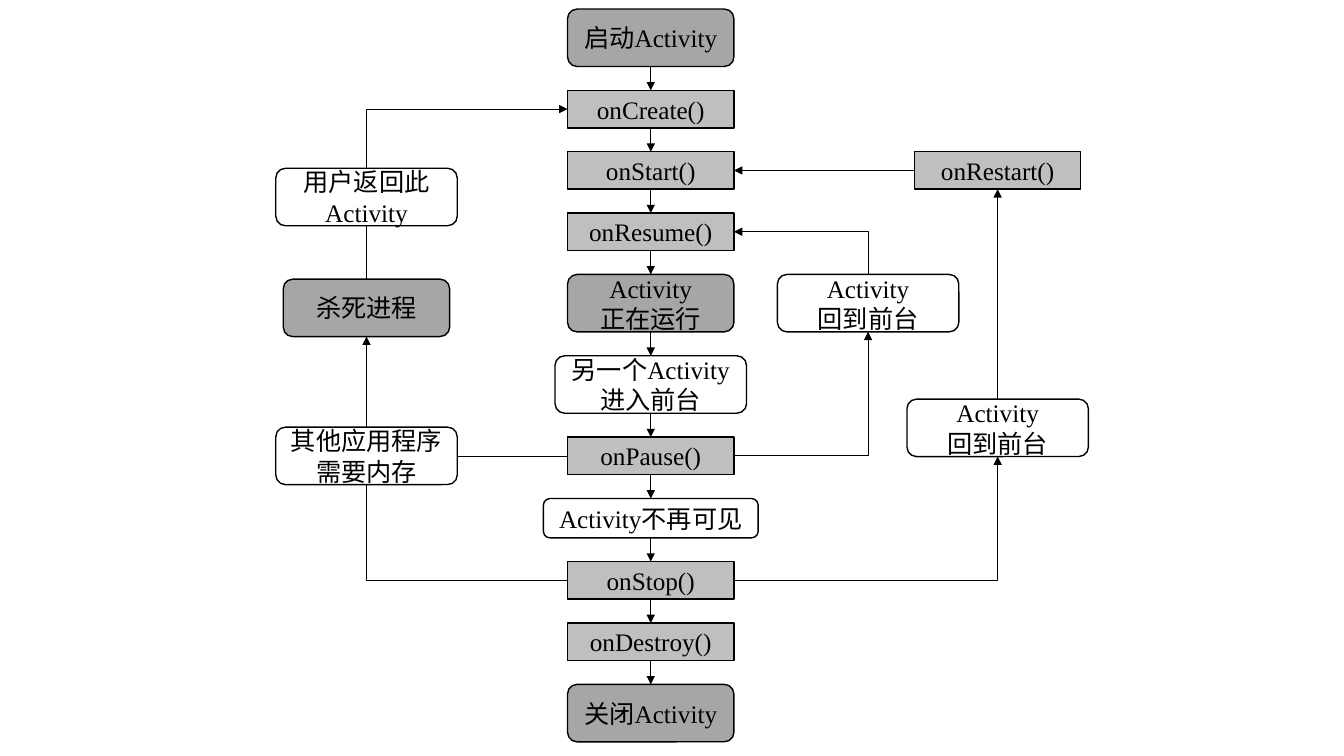
from dataclasses import dataclass
from enum import IntEnum
from itertools import pairwise

from pptx import Presentation
from pptx.dml.color import RGBColor
from pptx.enum.shapes import MSO_CONNECTOR as Route, MSO_SHAPE as Preset
from pptx.enum.text import MSO_ANCHOR as Anchor, PP_ALIGN as Align
from pptx.oxml.ns import qn
from pptx.oxml.xmlchemy import OxmlElement
from pptx.shapes.autoshape import Shape
from pptx.shapes.connector import Connector
from pptx.slide import Slide
from pptx.util import Inches, Pt

BLACK = RGBColor(0x00, 0x00, 0x00)
WHITE = RGBColor(0xFF, 0xFF, 0xFF)
LIGHT_GREY = RGBColor(0xBF, 0xBF, 0xBF)
DARK_GREY = RGBColor(0xA6, 0xA6, 0xA6)
FONT = "Times New Roman"

# The page is a grid of 100 columns by 100 rows.
PAGE_WIDTH, PAGE_HEIGHT = Inches(13.33), Inches(7.5)
COLUMN, ROW = PAGE_WIDTH / 100, PAGE_HEIGHT / 100

MEMORY_COLUMN, MAIN_COLUMN, RESUME_COLUMN, RESTART_COLUMN = 27.27, 48.42, 64.59, 74.23
STACK_TOP, STACK_BOTTOM = 1.2, 98.13
NARROW, WIDE = 12.38, 13.5
TALL = 7.6


class Side(IntEnum):
    TOP = 0
    LEFT = 1
    BOTTOM = 2
    RIGHT = 3


@dataclass(frozen=True)
class Style:
    preset: Preset
    fill: RGBColor


STATE = Style(Preset.ROUNDED_RECTANGLE, DARK_GREY)
CALLBACK = Style(Preset.RECTANGLE, LIGHT_GREY)
EVENT = Style(Preset.ROUNDED_RECTANGLE, WHITE)


@dataclass(frozen=True)
class Step:
    key: str
    lines: tuple[str, ...]
    style: Style
    width: float = NARROW
    height: float = TALL


@dataclass(frozen=True)
class SideStep:
    step: Step
    center_column: float
    center_row: float


@dataclass(frozen=True)
class Link:
    begin: str
    begin_side: Side
    end: str
    end_side: Side
    arrow: str = "tailEnd"
    route: Route = Route.STRAIGHT


def callback(name: str) -> Step:
    return Step(name, (f"{name}()",), CALLBACK, height=4.95)


MAIN_STACK = (
    Step("start", ("启动Activity",), STATE),
    callback("onCreate"),
    callback("onStart"),
    callback("onResume"),
    Step("running", ("Activity", "正在运行"), STATE),
    Step("covered", ("另一个Activity进入前台",), EVENT, 14.25),
    callback("onPause"),
    Step("unseen", ("Activity不再可见",), EVENT, 15.98, 5.2),
    callback("onStop"),
    callback("onDestroy"),
    Step("closed", ("关闭Activity",), STATE),
)


def stack_centers() -> dict[str, float]:
    """Spread the main steps with equal gaps; return each centre row by key."""
    used = sum(step.height for step in MAIN_STACK)
    gap = (STACK_BOTTOM - STACK_TOP - used) / (len(MAIN_STACK) - 1)
    centers, top = {}, STACK_TOP
    for step in MAIN_STACK:
        centers[step.key] = top + step.height / 2
        top += step.height + gap
    return centers


CENTERS = stack_centers()
FOREGROUND = ("Activity", "回到前台")

SIDE_STEPS = (
    SideStep(callback("onRestart"), RESTART_COLUMN, CENTERS["onStart"]),
    SideStep(Step("memory", ("其他应用程序需要内存",), EVENT, WIDE),
             MEMORY_COLUMN, CENTERS["onPause"]),
    SideStep(Step("back to resume", FOREGROUND, EVENT, WIDE),
             RESUME_COLUMN, CENTERS["running"]),
    SideStep(Step("back to restart", FOREGROUND, EVENT, WIDE), RESTART_COLUMN, 56.6),
    SideStep(Step("user returns", ("用户返回此Activity",), EVENT, WIDE),
             MEMORY_COLUMN, 26.07),
    SideStep(Step("killed", ("杀死进程",), STATE), MEMORY_COLUMN, 40.73),
)

MAIN_LINKS = tuple(
    Link(upper.key, Side.BOTTOM, lower.key, Side.TOP)
    for upper, lower in pairwise(MAIN_STACK)
)

# Every elbow leaves its first box sideways and meets the second vertically.
SIDE_LINKS = (
    Link("onStop", Side.LEFT, "memory", Side.BOTTOM, "", Route.ELBOW),
    Link("onPause", Side.LEFT, "memory", Side.RIGHT, ""),
    Link("memory", Side.TOP, "killed", Side.BOTTOM),
    Link("killed", Side.TOP, "user returns", Side.BOTTOM, ""),
    Link("onCreate", Side.LEFT, "user returns", Side.TOP, "headEnd", Route.ELBOW),
    Link("onPause", Side.RIGHT, "back to resume", Side.BOTTOM, route=Route.ELBOW),
    Link("onResume", Side.RIGHT, "back to resume", Side.TOP, "headEnd", Route.ELBOW),
    Link("onStop", Side.RIGHT, "back to restart", Side.BOTTOM, route=Route.ELBOW),
    Link("back to restart", Side.TOP, "onRestart", Side.BOTTOM),
    Link("onRestart", Side.LEFT, "onStart", Side.RIGHT),
)


def draw_step(page: Slide, step: Step, center_column: float, center_row: float) -> Shape:
    box = page.shapes.add_shape(
        step.style.preset,
        round((center_column - step.width / 2) * COLUMN),
        round((center_row - step.height / 2) * ROW),
        round(step.width * COLUMN),
        round(step.height * ROW),
    )
    box.shadow.inherit = False
    box.fill.solid()
    box.fill.fore_color.rgb = step.style.fill
    box.line.color.rgb = BLACK
    box.line.width = Pt(1)
    frame = box.text_frame
    frame.word_wrap = True
    frame.vertical_anchor = Anchor.MIDDLE
    for index, line in enumerate(step.lines):
        para = frame.add_paragraph() if index else frame.paragraphs[0]
        para.alignment = Align.CENTER
        span = para.add_run()
        span.text = line
        span.font.name = FONT
        span.font.size = Pt(18)
        span.font.color.rgb = BLACK
    return box


def draw_link(page: Slide, link: Link, boxes: dict[str, Shape]) -> Connector:
    connector = page.shapes.add_connector(link.route, 0, 0, 0, 0)
    connector.begin_connect(boxes[link.begin], link.begin_side)
    connector.end_connect(boxes[link.end], link.end_side)
    connector.line.color.rgb = BLACK
    connector.line.width = Pt(0.5)
    properties = connector._element.spPr
    if link.route == Route.ELBOW:
        properties.find(qn("a:prstGeom")).set("prst", "bentConnector2")
    if link.arrow:
        arrow = OxmlElement(f"a:{link.arrow}")
        arrow.set("type", "triangle")
        properties.find(qn("a:ln")).append(arrow)
    properties.append(OxmlElement("a:effectLst"))
    return connector


def main() -> None:
    deck = Presentation()
    deck.slide_width, deck.slide_height = PAGE_WIDTH, PAGE_HEIGHT
    page = deck.slides.add_slide(deck.slide_layouts[6])
    boxes = {
        step.key: draw_step(page, step, MAIN_COLUMN, CENTERS[step.key])
        for step in MAIN_STACK
    }
    for side in SIDE_STEPS:
        boxes[side.step.key] = draw_step(
            page, side.step, side.center_column, side.center_row
        )
    for link in MAIN_LINKS + SIDE_LINKS:
        draw_link(page, link, boxes)
    deck.save("out.pptx")


if __name__ == "__main__":
    main()
